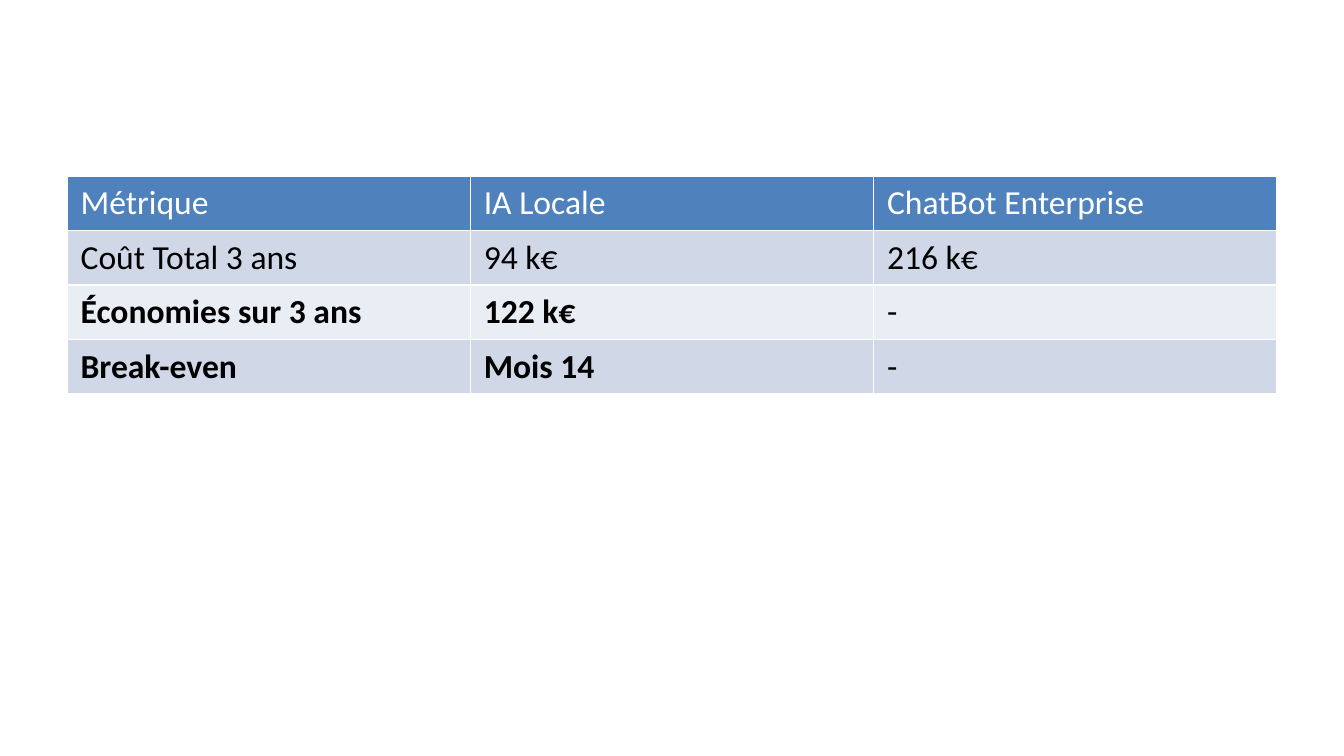
from pptx import Presentation
from pptx.dml.color import RGBColor
from pptx.util import Inches, Pt

# Each cell is (text, bold)
ROWS = [
    [("Métrique", False), ("IA Locale", False), ("ChatBot Enterprise", False)],
    [("Coût Total 3 ans", False), ("94 k€", False), ("216 k€", False)],
    [("Économies sur 3 ans", True), ("122 k€", True), ("-", False)],
    [("Break-even", True), ("Mois 14", True), ("-", False)],
]
COLORS = {
    "header": "4F81BD",
    "odd_row": "D0D8E8",
    "even_row": "E9EDF4",
    "header_text": "FFFFFF",
    "body_text": "000000",
}
SLIDE_WIDTH = 10
SLIDE_HEIGHT = SLIDE_WIDTH * 9 / 16
LEFT, TOP, WIDTH, HEIGHT = 0.5, 1.31, 9, 3.71
BLANK_LAYOUT = 6


def color(name):
    return RGBColor.from_string(COLORS[name])


def format_cell(cell, text, bold, fill_name, text_name):
    cell.fill.solid()
    cell.fill.fore_color.rgb = color(fill_name)
    cell.text = text
    font = cell.text_frame.paragraphs[0].font
    font.name = "Calibri"
    font.size = Pt(18)
    font.bold = bold
    font.color.rgb = color(text_name)


def add_cost_table(slide):
    """Add the table with rows that grow to fit their text."""
    frame = slide.shapes.add_table(
        len(ROWS), len(ROWS[0]),
        Inches(LEFT), Inches(TOP), Inches(WIDTH), Inches(HEIGHT),
    )
    table = frame.table
    for row_index, row in enumerate(ROWS):
        table.rows[row_index].height = Inches(0)
        if row_index == 0:
            fill_name, text_name = "header", "header_text"
        else:
            fill_name = "odd_row" if row_index % 2 else "even_row"
            text_name = "body_text"
        for column_index, (text, bold) in enumerate(row):
            cell = table.cell(row_index, column_index)
            format_cell(cell, text, bold, fill_name, text_name)
    frame.height = Inches(HEIGHT)


def main():
    presentation = Presentation()
    presentation.slide_width = Inches(SLIDE_WIDTH)
    presentation.slide_height = Inches(SLIDE_HEIGHT)
    slide = presentation.slides.add_slide(presentation.slide_layouts[BLANK_LAYOUT])
    add_cost_table(slide)
    presentation.save("out.pptx")


if __name__ == "__main__":
    main()
